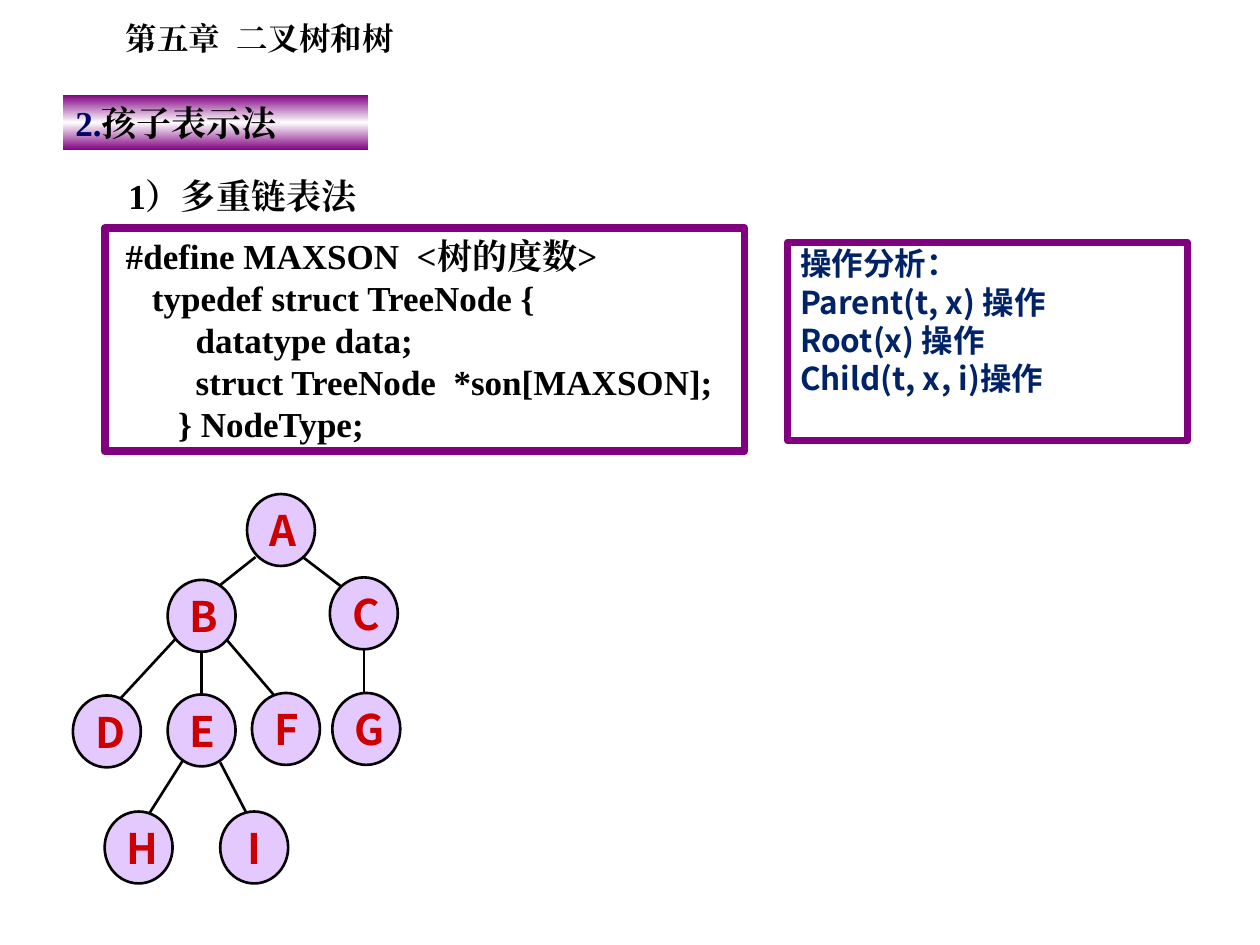
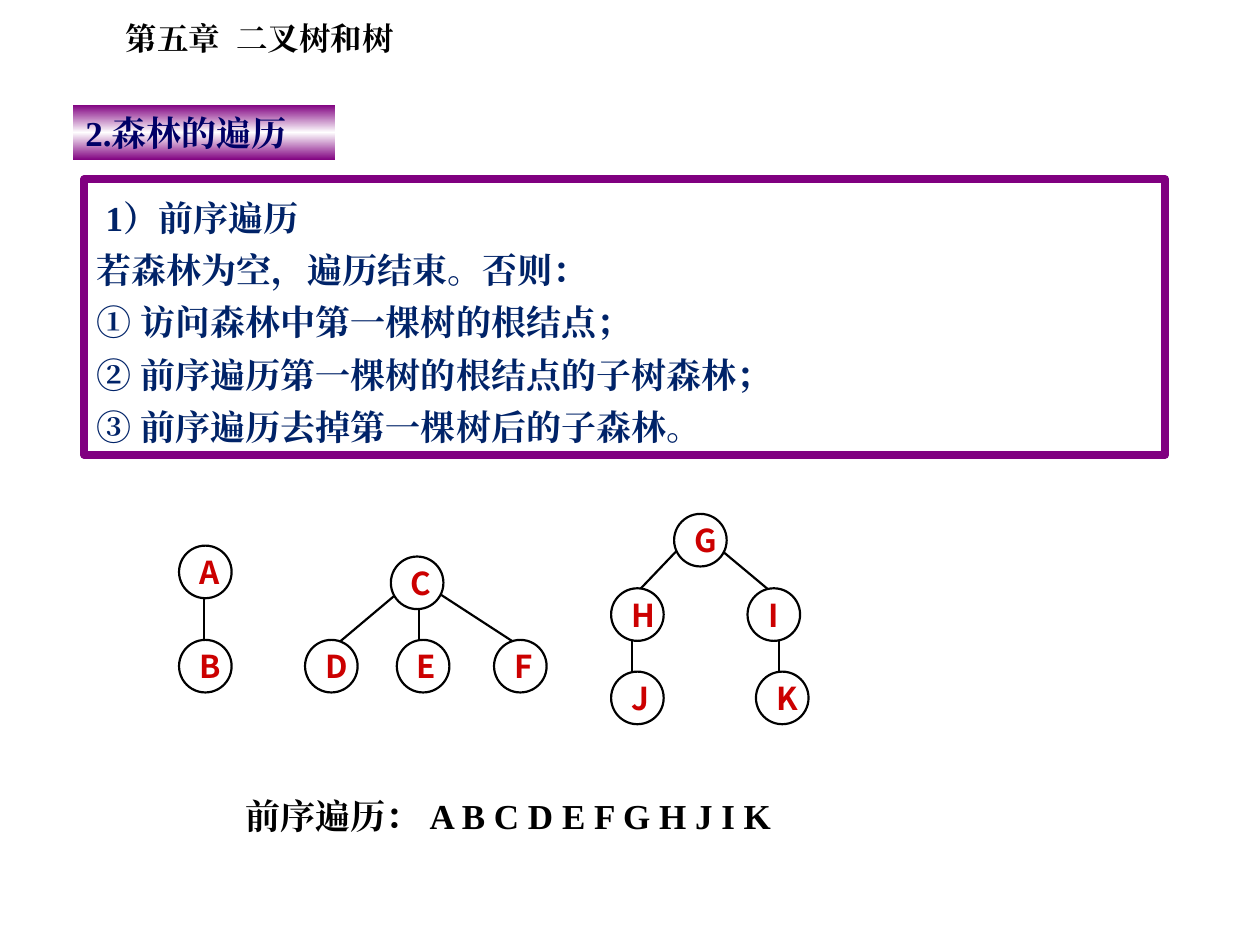
from copy import deepcopy

from pptx import Presentation
from pptx.dml.color import RGBColor
from pptx.enum.shapes import MSO_CONNECTOR, MSO_SHAPE
from pptx.enum.text import MSO_ANCHOR, MSO_AUTO_SIZE, PP_ALIGN
from pptx.oxml.ns import qn
from pptx.util import Cm, Pt

COLOURS = {
    "black": "000000",
    "white": "FFFFFF",
    "purple": "800080",
    "lilac": "E4C9FF",
    "navy": "000066",
    "blue": "002368",
    "red": "CC0000",
}
SERIF = "Times New Roman"
SANS = "Noto Sans CJK SC"

# Trees: node corners and edge ends, in cm from the corner of the tree's box
CHILD_TREE = {
    "nodes": {
        "A": (3.51, 0), "B": (1.91, 1.73), "C": (5.18, 1.68),
        "D": (0, 4.06), "E": (1.91, 4.04), "F": (3.61, 4.01),
        "G": (5.23, 4.01), "H": (0.64, 6.4), "I": (2.97, 6.4),
    },
    "edges": [
        (3.68, 1.27, 2.72, 2.03), (4.57, 1.22, 5.56, 1.98),
        (2.16, 2.82, 0.94, 4.14), (2.59, 2.82, 2.59, 4.09),
        (3, 2.82, 4.06, 4.06), (5.87, 2.82, 5.87, 4.09),
        (2.21, 5.38, 1.5, 6.5), (2.97, 5.41, 3.56, 6.55),
    ],
}
FOREST = {
    "nodes": {
        "A": (0, 0.64), "B": (0, 2.54),
        "C": (4.27, 0.86), "D": (2.54, 2.54), "E": (4.39, 2.54), "F": (6.35, 2.54),
        "G": (9.98, 0), "H": (8.71, 1.5), "I": (11.46, 1.5),
        "J": (8.71, 3.18), "K": (11.63, 3.18),
    },
    "edges": [
        (0.5, 1.5, 0.5, 2.82),
        (4.52, 1.5, 2.95, 2.82), (4.83, 1.7, 4.83, 2.77), (5.08, 1.5, 7.11, 2.82),
        (10.13, 0.64, 9.12, 1.7), (10.82, 0.64, 12.09, 1.7),
        (9.13, 2.34, 9.13, 3.4), (12.09, 2.34, 12.09, 3.4),
    ],
}


def rgb(name):
    return RGBColor.from_string(COLOURS[name])


def place(shape, box):
    shape.left, shape.top, shape.width, shape.height = (Cm(length) for length in box)


def write(shape, lines, *, size=20, font=SERIF, colour="black", align=PP_ALIGN.LEFT,
          anchor=MSO_ANCHOR.TOP, spacing=1.0, before=0, first_indent=0):
    """Fill a shape; each line is a string or a list of (text, colour) spans."""
    frame = shape.text_frame
    frame.word_wrap = True
    frame.auto_size = MSO_AUTO_SIZE.NONE
    frame.vertical_anchor = anchor
    frame.margin_left = frame.margin_right = Cm(0.25)
    frame.margin_top = frame.margin_bottom = Cm(0.13)
    for index, line in enumerate(lines):
        para = frame.add_paragraph() if index else frame.paragraphs[0]
        properties = para._p.get_or_add_pPr()
        properties.set("marL", "0")
        properties.set("indent", str(0 if index else Cm(first_indent)))
        properties.append(properties.makeelement(qn("a:buNone"), {}))
        para.alignment = align
        para.line_spacing = spacing
        para.space_before = Pt(before if index else 0)
        para.space_after = Pt(0)
        for text, span_colour in [(line, colour)] if isinstance(line, str) else line:
            span = para.add_run()
            span.text = text
            span.font.size = Pt(size)
            span.font.bold = True
            span.font.name = font
            span.font.color.rgb = rgb(span_colour)
            east_asian = span.font._element.makeelement(qn("a:ea"), {"typeface": font})
            span.font._element.find(qn("a:latin")).addnext(east_asian)


def outline(shape, colour, width):
    shape.line.color.rgb = rgb(colour)
    shape.line.width = Pt(width)


def add_label(page, box, text, **style):
    label = page.shapes.add_textbox(0, 0, 0, 0)
    place(label, box)
    write(label, [text], **style)


def add_heading(page, box, spans):
    """Title on a purple band that fades to white in the middle."""
    title = page.shapes.title
    place(title, box)
    title.fill.gradient()
    stops = title._element.spPr.find(qn("a:gradFill")).find(qn("a:gsLst"))
    stops.insert(1, deepcopy(stops[0]))
    bands = [(0, "purple"), (0.5, "white"), (1, "purple")]
    for stop, (position, colour) in zip(title.fill.gradient_stops, bands):
        stop.position = position
        stop.color.rgb = rgb(colour)
    title.fill.gradient_angle = 90
    write(title, [spans])


def add_body(page, box, lines, line_width, **style):
    """Framed list in the body placeholder."""
    body = page.placeholders[1]
    place(body, box)
    outline(body, "purple", line_width)
    write(body, lines, colour="blue", **style)


def add_code(page, box, lines):
    frame = page.shapes.add_shape(MSO_SHAPE.RECTANGLE, 0, 0, 0, 0)
    place(frame, box)
    frame.shadow.inherit = False
    frame.fill.background()
    outline(frame, "purple", 4.5)
    write(frame, lines)


def add_tree(page, left, top, tree, *, node_size, fill, line_width, text_size):
    # Edges lie behind the nodes
    for x1, y1, x2, y2 in tree["edges"]:
        edge = page.shapes.add_connector(
            MSO_CONNECTOR.STRAIGHT,
            Cm(left + x1), Cm(top + y1), Cm(left + x2), Cm(top + y2))
        outline(edge, "black", line_width)
        properties = edge._element.spPr
        properties.append(properties.makeelement(qn("a:effectLst"), {}))
    # Nodes
    for letter, (x, y) in tree["nodes"].items():
        node = page.shapes.add_shape(MSO_SHAPE.OVAL, 0, 0, 0, 0)
        place(node, (left + x, top + y, *node_size))
        node.shadow.inherit = False
        node.fill.solid()
        node.fill.fore_color.rgb = rgb(fill)
        outline(node, "black", line_width)
        write(node, [letter], size=text_size, font=SANS, colour="red",
              align=PP_ALIGN.CENTER, anchor=MSO_ANCHOR.MIDDLE)


def add_page(deck):
    page = deck.slides.add_slide(deck.slide_layouts[1])
    add_label(page, (2.29, 0.25, 6.17, 1.02), "第五章  二叉树和树", size=18)
    return page


def build_child_page(deck):
    page = add_page(deck)
    add_heading(page, (1.27, 1.91, 6.15, 1.12),
                [("2.", "navy"), ("孩子表示法", "black")])
    add_label(page, (2.34, 3.18, 21.59, 1.32), "1）多重链表法",
              align=PP_ALIGN.JUSTIFY, spacing=1.25)
    add_code(page, (2.11, 4.6, 12.9, 4.5), [
        " #define MAXSON  <树的度数>",
        "    typedef struct TreeNode {",
        "         datatype data;",
        "         struct TreeNode  *son[MAXSON];",
        "       } NodeType;",
    ])
    add_body(page, (15.88, 4.88, 8.05, 4.01), [
        "操作分析：",
        "Parent(t, x) 操作",
        "Root(x) 操作",
        "Child(t, x, i)操作",
    ], 4, size=18, font=SANS, spacing=0.9, before=2.5)
    add_tree(page, 1.47, 9.96, CHILD_TREE, node_size=(1.37, 1.45),
             fill="lilac", line_width=1.5, text_size=24)


def build_forest_page(deck):
    page = add_page(deck)
    add_heading(page, (1.47, 2.11, 5.28, 1.12), [("2.森林的遍历", "navy")])
    add_body(page, (1.7, 3.61, 21.79, 5.56), [
        "1）前序遍历",
        "若森林为空，遍历结束。否则：",
        "① 访问森林中第一棵树的根结点；",
        "② 前序遍历第一棵树的根结点的子树森林；",
        "③ 前序遍历去掉第一棵树后的子森林。",
    ], 4.5, spacing=1.25, first_indent=0.18)
    add_tree(page, 3.61, 10.36, FOREST, node_size=(1.06, 1.06),
             fill="white", line_width=1.25, text_size=18)
    add_label(page, (4.7, 15.67, 11.51, 1.32), "前序遍历： A B C D E F G H J I K",
              spacing=1.25)


def main():
    deck = Presentation()
    deck.slide_width, deck.slide_height = Cm(25.4), Cm(19.05)
    build_child_page(deck)
    build_forest_page(deck)
    deck.save("out.pptx")


if __name__ == "__main__":
    main()
